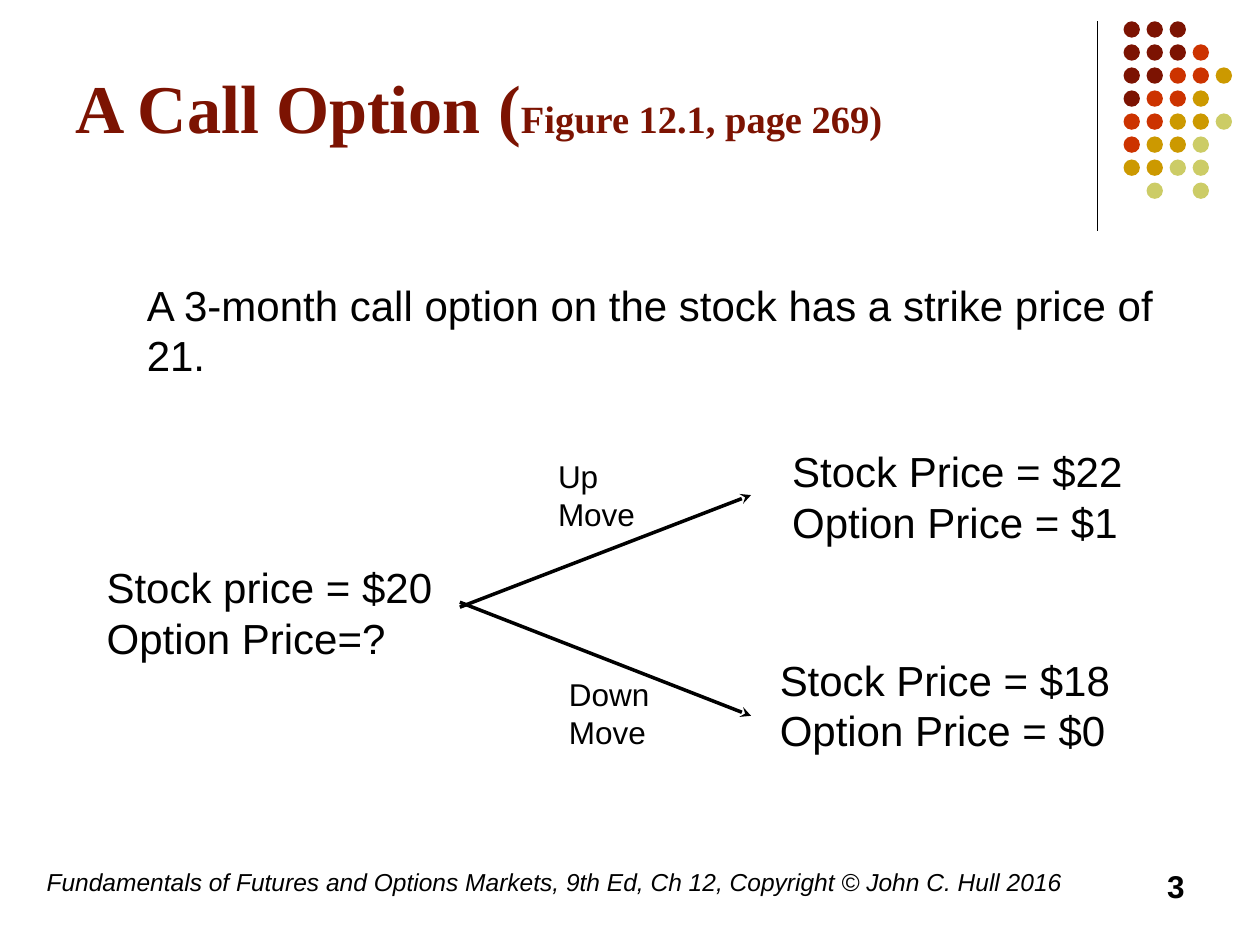
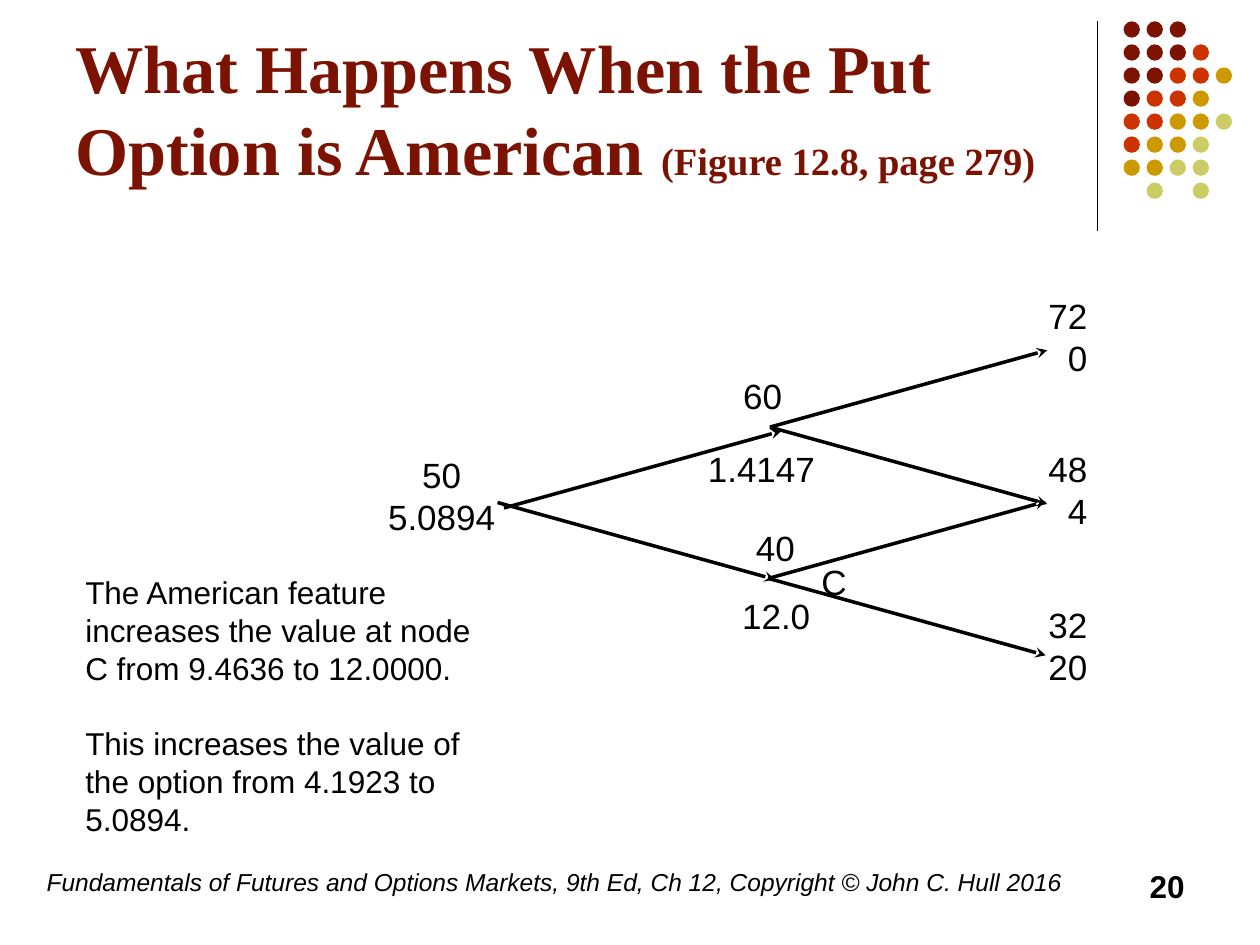
from dataclasses import dataclass

from lxml import etree
from pptx import Presentation
from pptx.dml.color import RGBColor
from pptx.enum.shapes import MSO_CONNECTOR, MSO_SHAPE
from pptx.enum.text import MSO_ANCHOR, PP_ALIGN
from pptx.oxml.ns import qn
from pptx.util import Cm, Pt

STRAIGHT = MSO_CONNECTOR.STRAIGHT
OVAL = MSO_SHAPE.OVAL
LEFT, CENTER, RIGHT = PP_ALIGN.LEFT, PP_ALIGN.CENTER, PP_ALIGN.RIGHT
TOP, MIDDLE, BOTTOM = MSO_ANCHOR.TOP, MSO_ANCHOR.MIDDLE, MSO_ANCHOR.BOTTOM


@dataclass(frozen=True)
class Theme:
    black: str = "000000"
    maroon: str = "7C1302"
    red: str = "CC3300"
    gold: str = "CC9900"
    lime: str = "CCCC66"
    title_font: str = "Times New Roman"
    body_font: str = "Arial"
    title_size: int = 39
    reference_size: int = 22
    body_size: int = 24
    node_size: int = 20
    note_size: int = 18
    footer_size: int = 14


theme = Theme()
FOOTER = ("Fundamentals of Futures and Options Markets, 9th Ed, Ch 12, "
          "Copyright © John C. Hull 2016")
DOT_COLORS = {"M": theme.maroon, "R": theme.red, "G": theme.gold, "L": theme.lime}
DOT_ROWS = ["MMM", "MMMR", "MMRRG", "MRRG", "RRGGL", "RGGL", "GGLL", " L L"]
DOT_PITCH = 3.25 / 7


def add_text(slide, box, paragraphs, size, align=LEFT, anchor=TOP, font=theme.body_font,
             color=theme.black, bold=False, italic=False, space_before=0):
    """Each paragraph is a string or a list of (text, size) runs; box is in centimetres."""
    frame = slide.shapes.add_textbox(*map(Cm, box)).text_frame
    frame.word_wrap = True
    frame.vertical_anchor = anchor
    for index, content in enumerate(paragraphs):
        paragraph = frame.add_paragraph() if index else frame.paragraphs[0]
        paragraph.alignment = align
        if index and space_before:
            paragraph.space_before = Pt(space_before)
        runs = [(content, size)] if isinstance(content, str) else content
        for text, run_size in runs:
            run = paragraph.add_run()
            run.text = text
            run.font.name = font
            run.font.size = Pt(run_size)
            run.font.bold = bold
            run.font.italic = italic
            run.font.color.rgb = RGBColor.from_string(color)


def add_line(slide, start, end, width=2, arrow=True):
    connector = slide.shapes.add_connector(STRAIGHT, *map(Cm, (*start, *end)))
    connector.line.color.rgb = RGBColor.from_string(theme.black)
    connector.line.width = Pt(width)
    if arrow:
        etree.SubElement(connector.line._get_or_add_ln(), qn("a:tailEnd"), type="stealth")
    etree.SubElement(connector._element.spPr, qn("a:effectLst"))


presentation = Presentation()
presentation.slide_width = Cm(25.4)
presentation.slide_height = Cm(19.05)

# Title, dot motif and footer shared by the slides
headings = [
    ("A Call Option (", "Figure 12.1, page 269)", MIDDLE, "3"),
    ("What Happens When the Put Option is American ", "(Figure 12.8, page 279)", BOTTOM, "20"),
]
for title, reference, anchor, number in headings:
    slide = presentation.slides.add_slide(presentation.slide_layouts[6])
    add_line(slide, (22.12, 0.43), (22.12, 4.65), width=0.75, arrow=False)
    dots = slide.shapes.add_group_shape()
    for row, letters in enumerate(DOT_ROWS):
        for column, letter in enumerate(letters):
            if letter == " ":
                continue
            dot = dots.shapes.add_shape(
                OVAL, Cm(22.65 + column * DOT_PITCH), Cm(0.43 + row * DOT_PITCH),
                Cm(0.33), Cm(0.33))
            dot.shadow.inherit = False
            dot.fill.solid()
            dot.fill.fore_color.rgb = RGBColor.from_string(DOT_COLORS[letter])
            dot.line.fill.background()
    add_text(slide, (1.27, 0.33, 20.96, 3.61),
             [[(title, theme.title_size), (reference, theme.reference_size)]],
             theme.title_size, anchor=anchor, font=theme.title_font,
             color=theme.maroon, bold=True)
    add_text(slide, (0.69, 17.35, 21, 1.27), [FOOTER], theme.footer_size, italic=True)
    add_text(slide, (18.21, 17.35, 5.92, 1.27), [number], theme.note_size,
             align=RIGHT, bold=True)

call_slide, put_slide = presentation.slides

# One-step tree for the call option
add_text(call_slide, (2.71, 5.51, 20.94, 2.6),
         ["A 3-month call option on the stock has a strike price of 21."], theme.body_size)
add_line(call_slide, (9.27, 12.24), (15.14, 9.98))
add_line(call_slide, (9.27, 12.14), (15.14, 14.43))
for left, top, width, stock, option in [
    (1.9, 11.2, 7.6, "Stock price = $20", "Option Price=?"),
    (15.72, 8.86, 8.03, "Stock Price = $22", "Option Price = $1"),
    (15.47, 13.06, 9.2, "Stock Price = $18", "Option Price = $0"),
]:
    add_text(call_slide, (left, top, width, 2.29), [stock, option], theme.body_size)
add_text(call_slide, (11, 9.09, 2.54, 1.8), ["Up Move"], theme.note_size)
add_text(call_slide, (11.22, 13.49, 2.34, 1.8), ["Down Move"], theme.note_size)

# Two-step tree for the American put; every branch has the same run and rise
BRANCH_RUN, BRANCH_RISE = 5.59, 1.55
UP, DOWN = -1, 1
for x, y, directions in [
    (10.16, 10.24, [UP]),
    (10.03, 10.13, [DOWN]),
    (15.52, 8.61, [UP, DOWN]),
    (15.49, 11.66, [UP, DOWN]),
]:
    for direction in directions:
        add_line(put_slide, (x, y), (x + BRANCH_RUN, y + direction * BRANCH_RISE))

for left, top, width, values, align in [
    (7.42, 9.02, 2.97, ["50", "5.0894"], CENTER),
    (14.73, 7.42, 1.32, ["60"], LEFT),
    (14.02, 8.89, 2.69, ["1.4147"], LEFT),
    (14.99, 10.49, 1.32, ["40"], LEFT),
    (14.71, 11.86, 1.9, ["12.0"], LEFT),
    (16.31, 11.18, 1.02, ["C"], LEFT),
    (20.85, 5.82, 1.32, ["72", "0"], RIGHT),
    (20.85, 8.89, 1.32, ["48", "4"], RIGHT),
    (20.85, 12.04, 1.32, ["32", "20"], RIGHT),
]:
    add_text(put_slide, (left, top, width, 1.12 if len(values) == 1 else 1.96),
             values, theme.node_size, align=align)

add_text(put_slide, (1.47, 11.43, 8.46, 5.64),
         ["The American feature increases the value at node C from 9.4636 to 12.0000.",
          "This increases the value of the option from 4.1923 to 5.0894."],
         theme.note_size, space_before=21.6)

presentation.save("out.pptx")
